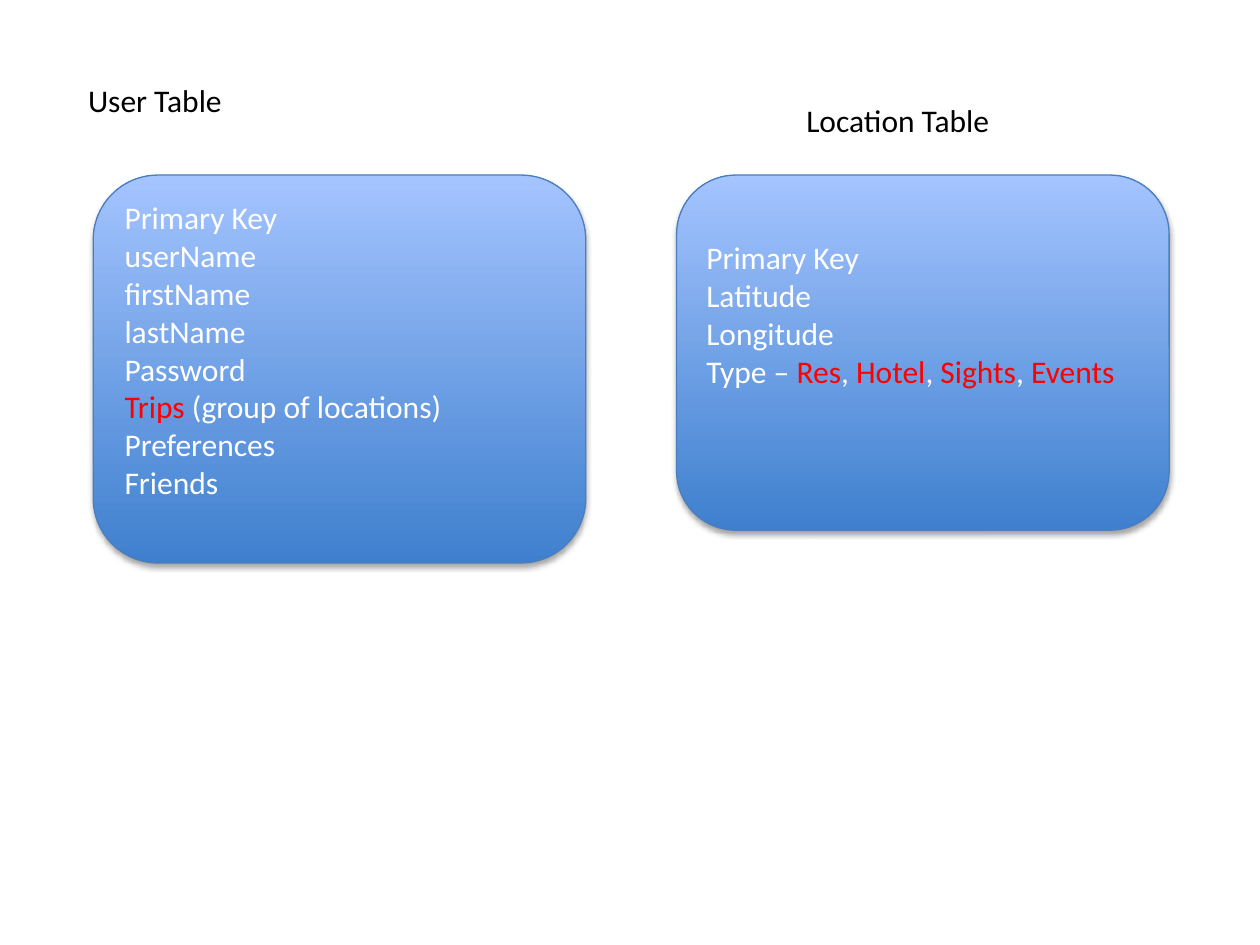
from lxml.etree import SubElement
from pptx import Presentation
from pptx.dml.color import RGBColor
from pptx.enum.shapes import MSO_SHAPE as Shape
from pptx.enum.text import MSO_ANCHOR as Anchor, MSO_AUTO_SIZE as AutoSize, PP_ALIGN as Align
from pptx.oxml.ns import qn
from pptx.util import Cm, Pt

COLORS = {
    "black": "000000",
    "white": "FFFFFF",
    "red": "FF0000",
    "card_bottom": "3F80CE",
    "card_top": "A4C4FF",
    "card_line": "4B7EBC",
}
COMPARISON_LAYOUT = 4
CARD_TOP, CARD_WIDTH = 3.53, 9.93
LINE_HEIGHT = 0.78

# Each line is a list of (text, colour) pieces
USER_FIELDS = [
    [("Primary Key", "white")],
    [("userName", "white")],
    [("firstName", "white")],
    [("lastName", "white")],
    [("Password", "white")],
    [("Trips", "red"), (" (group of locations)", "white")],
    [("Preferences", "white")],
    [("Friends", "white")],
]
LOCATION_FIELDS = [
    [("Primary Key", "white")],
    [("Latitude", "white")],
    [("Longitude", "white")],
    [("Type – ", "white"), ("Res", "red"), (", ", "white"), ("Hotel", "red"),
     (", ", "white"), ("Sights", "red"), (", ", "white"), ("Events", "red")],
]


def rgb(name):
    return RGBColor.from_string(COLORS[name])


def add_text(paragraph, text, color="black", size=18, font="Calibri", bold=False):
    run = paragraph.add_run()
    run.text = text
    run.font.name = font
    run.font.size = Pt(size)
    run.font.bold = bold
    run.font.color.rgb = rgb(color)


def add_heading(slide, index, text, left, top):
    """Move a heading placeholder into place and fill it."""
    heading = slide.placeholders[index]
    heading.left, heading.top = Cm(left), Cm(top)
    heading.width, heading.height = Cm(7.57), Cm(1.02)
    frame = heading.text_frame
    frame.word_wrap = True
    frame.auto_size = AutoSize.SHAPE_TO_FIT_TEXT
    frame.vertical_anchor = Anchor.TOP
    paragraph = frame.paragraphs[0]
    paragraph.space_before = Pt(0)
    add_text(paragraph, text)


def add_soft_shadow(shape):
    effects = SubElement(shape._element.spPr, qn("a:effectLst"))
    shadow = SubElement(effects, qn("a:outerShdw"), blurRad=str(Pt(3.1)),
                        dist=str(Pt(1.8)), dir="5400000", rotWithShape="0")
    color = SubElement(shadow, qn("a:srgbClr"), val=COLORS["black"])
    SubElement(color, qn("a:alpha"), val="35000")


def add_card(slide, fields, left, height, lines_below):
    """Rounded card; lines_below reserves free text lines at its foot."""
    card = slide.shapes.add_shape(Shape.ROUNDED_RECTANGLE, Cm(left), Cm(CARD_TOP),
                                  Cm(CARD_WIDTH), Cm(height))
    card.fill.gradient()
    card.fill.gradient_angle = 90
    for stop, color in zip(card.fill.gradient_stops, ("card_bottom", "card_top")):
        stop.color.rgb = rgb(color)
    card.line.color.rgb = rgb("card_line")
    card.line.width = Pt(0.75)
    add_soft_shadow(card)

    frame = card.text_frame
    frame.word_wrap = True
    frame.vertical_anchor = Anchor.MIDDLE
    frame.margin_bottom = Cm(0.13 + lines_below * LINE_HEIGHT)
    for number, pieces in enumerate(fields):
        paragraph = frame.add_paragraph() if number else frame.paragraphs[0]
        paragraph.alignment = Align.LEFT
        for text, color in pieces:
            add_text(paragraph, text, color=color)


def remove_empty_placeholders(slide):
    for placeholder in list(slide.placeholders):
        if not placeholder.text_frame.text:
            placeholder.element.getparent().remove(placeholder.element)


def main():
    presentation = Presentation()
    presentation.slide_width, presentation.slide_height = Cm(25.4), Cm(19.05)
    slide = presentation.slides.add_slide(presentation.slide_layouts[COMPARISON_LAYOUT])

    # User table
    add_heading(slide, 1, "User Table", left=1.52, top=1.5)
    add_card(slide, USER_FIELDS, left=1.88, height=7.82, lines_below=1)

    # Location table
    add_heading(slide, 3, "Location Table", left=16, top=1.91)
    add_card(slide, LOCATION_FIELDS, left=13.64, height=7.16, lines_below=2)

    remove_empty_placeholders(slide)
    presentation.save("out.pptx")


main()
